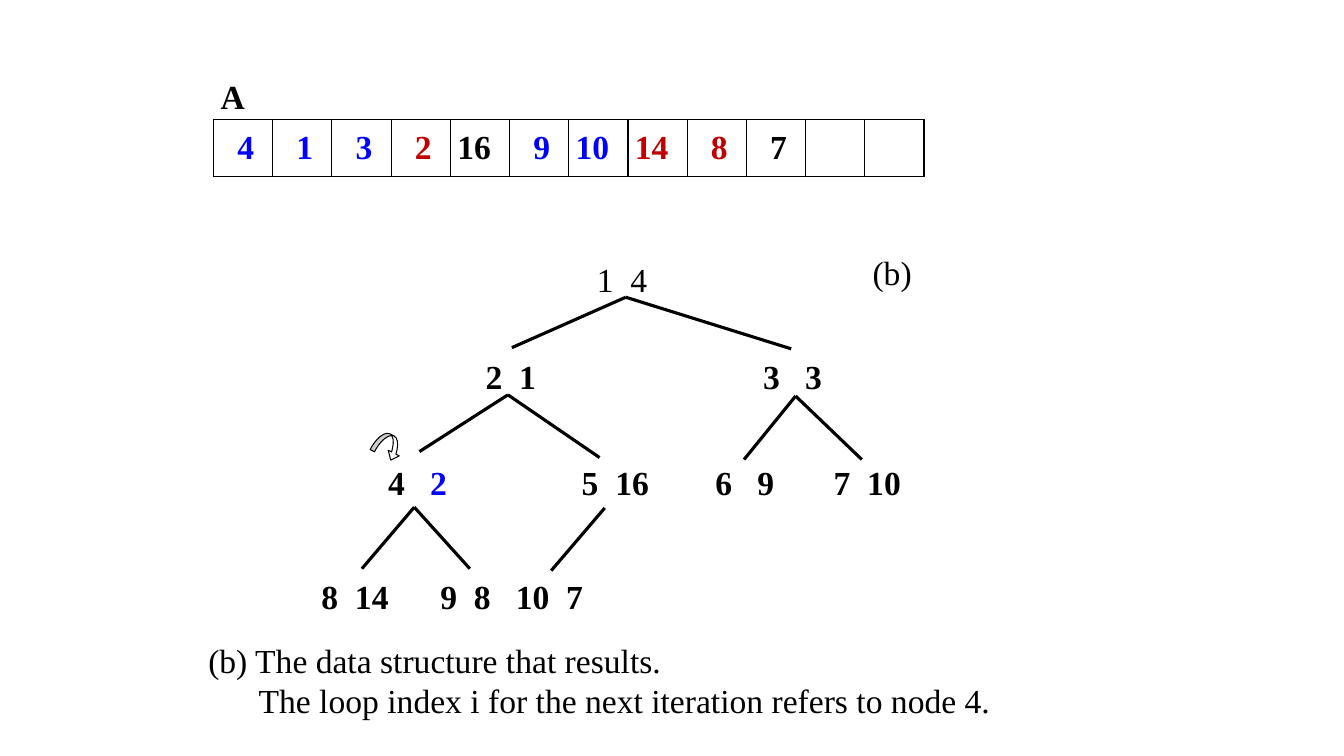
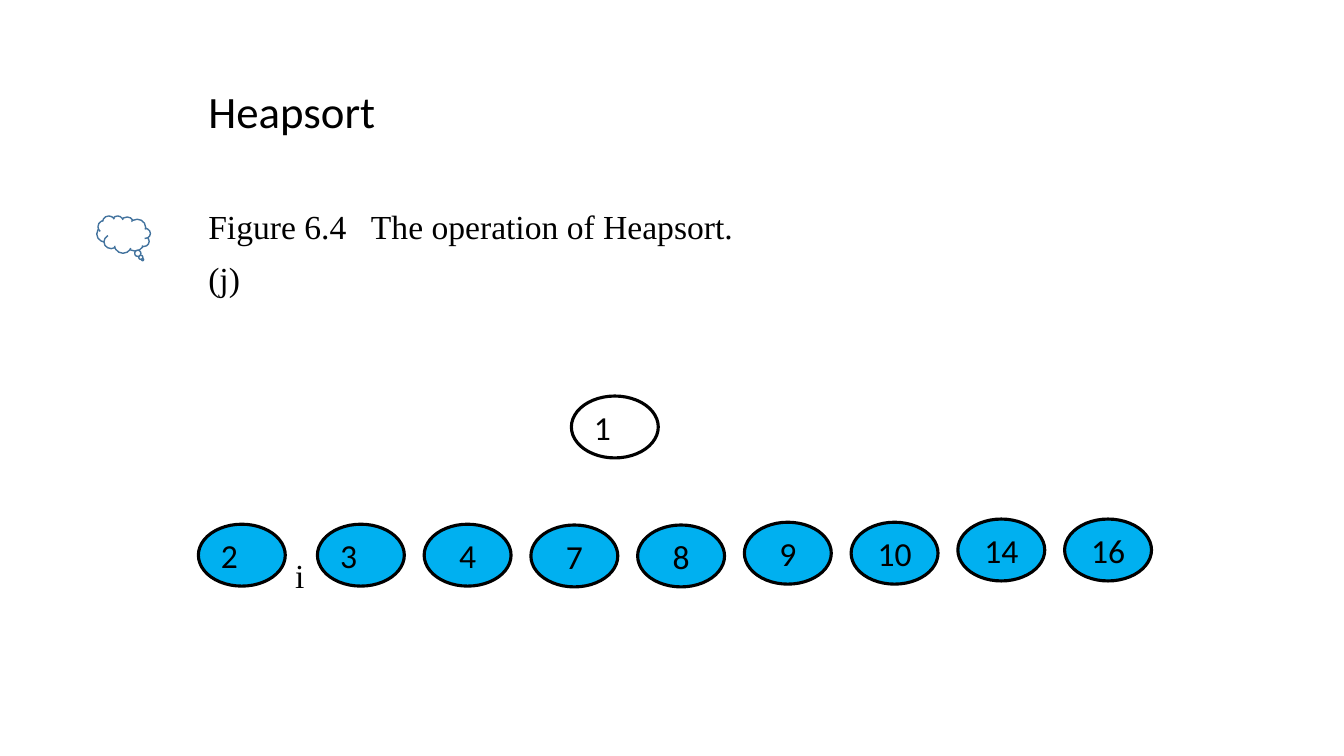
from dataclasses import dataclass

from lxml.etree import SubElement
from pptx import Presentation
from pptx.dml.color import RGBColor
from pptx.enum.shapes import MSO_CONNECTOR as Connector, MSO_SHAPE as Preset
from pptx.enum.text import MSO_ANCHOR as Anchor, MSO_AUTO_SIZE as AutoSize, PP_ALIGN as Align
from pptx.oxml.ns import qn
from pptx.util import Cm, Pt


@dataclass(frozen=True)
class Theme:
    """Colours, fonts and sizes shared by the slides."""
    black: str = "000000"
    white: str = "FFFFFF"
    blue: str = "0000FF"
    red: str = "C00000"
    sorted_fill: str = "00B0F0"
    cloud_line: str = "43739E"
    serif: str = "Times New Roman"
    sans: str = "Calibri"
    title_size: float = 32
    body_size: float = 24
    stroke: float = 2.25


@dataclass(frozen=True)
class Box:
    """A region in centimetres."""
    left: float
    top: float
    width: float
    height: float

    def inner(self, left, top, width, height):
        """Return a box placed relative to this one."""
        return Box(self.left + left, self.top + top, width, height)

    def lengths(self):
        """Return left, top, width and height as lengths."""
        return Cm(self.left), Cm(self.top), Cm(self.width), Cm(self.height)


@dataclass(frozen=True)
class Node:
    """A heap node: its label, and where edges arrive (head) and leave (foot)."""
    label: str
    value: str
    left: float
    head: tuple = ()
    foot: tuple = ()
    bold: bool = True
    color: str = "000000"


THEME = Theme()
LEVEL_TOPS = (0, 2.44, 5.11, 8)
HEAP = (
    Node("1  ", "4", 7.04, foot=(7.77, 1.09), bold=False),
    Node("2  ", "1", 4.24, (4.9, 2.36), (4.8, 3.55)),
    Node("3   ", "3", 11.23, (11.94, 2.39), (12.05, 3.58)),
    Node("4   ", "2", 1.78, (2.57, 4.98), (2.44, 6.38), color=THEME.blue),
    Node("5  ", "16", 6.66, (7.11, 5.13), (7.24, 6.4)),
    Node("6   ", "9", 10.03, (10.75, 5.18)),
    Node("7  ", "10", 13.01, (13.72, 5.18)),
    Node("8  ", "14", 0.1, (1.12, 7.93)),
    Node("9  ", "8", 3.1, (3.84, 7.93)),
    Node("10  ", "7", 5, (5.89, 7.98)),
)
ARRAY = (
    ("4", THEME.blue), ("1", THEME.blue), ("3", THEME.blue), ("2", THEME.red),
    ("16", THEME.black), ("9", THEME.blue), ("10", THEME.blue), ("14", THEME.red),
    ("8", THEME.red), ("7", THEME.black), ("", THEME.black), ("", THEME.black),
)


def add_run(paragraph, text, color=THEME.black, font=THEME.serif, size=THEME.body_size, bold=False):
    """Add one formatted run."""
    run = paragraph.add_run()
    run.text = text
    run.font.name, run.font.size, run.font.bold = font, Pt(size), bold
    run.font.color.rgb = RGBColor.from_string(color)


def add_label(slide, box, runs, bold=False, inset=0.25):
    """Add a one-line text box made of (text, colour) runs."""
    frame = slide.shapes.add_textbox(*box.lengths()).text_frame
    frame.word_wrap = True
    frame.margin_left = Cm(inset)
    for text, color in runs:
        add_run(frame.paragraphs[0], text, color, bold=bold)


def add_caption(slide, box, lines, spacing=1.0, hanging=0):
    """Add a caption, with the lines after the first indented by hanging."""
    frame = slide.shapes.add_textbox(*box.lengths()).text_frame
    frame.word_wrap = True
    for number, line in enumerate(lines):
        paragraph = frame.add_paragraph() if number else frame.paragraphs[0]
        paragraph.line_spacing = spacing
        if number and hanging:
            paragraph._p.get_or_add_pPr().set("marL", str(Cm(hanging)))
        add_run(paragraph, line)


def add_preset(slide, preset, box, fill=THEME.white, line=THEME.black, width=THEME.stroke):
    """Add a filled and outlined preset shape."""
    shape = slide.shapes.add_shape(preset, *box.lengths())
    shape.shadow.inherit = False
    shape.fill.solid()
    shape.fill.fore_color.rgb = RGBColor.from_string(fill)
    shape.line.color.rgb = RGBColor.from_string(line)
    shape.line.width = Pt(width)
    return shape


def add_edge(slide, box, start, end):
    """Draw a tree edge between two points of the box."""
    points = [Cm(value) for x, y in (start, end) for value in (box.left + x, box.top + y)]
    edge = slide.shapes.add_connector(Connector.STRAIGHT, *points)
    edge.line.color.rgb = RGBColor.from_string(THEME.black)
    edge.line.width = Pt(THEME.stroke)
    SubElement(edge._element.spPr, qn("a:effectLst"))


def border_cell(cell):
    """Give a cell thin black borders."""
    properties = cell._tc.get_or_add_tcPr()
    for position, side in enumerate(("a:lnL", "a:lnR", "a:lnT", "a:lnB")):
        line = properties.makeelement(qn(side), {"w": str(Pt(1))})
        fill = SubElement(line, qn("a:solidFill"))
        SubElement(fill, qn("a:srgbClr"), val=THEME.black)
        properties.insert(position, line)


def add_array(slide, box):
    """Draw array A as a one-row table below its name."""
    add_label(slide, box.inner(-0.07, -1.24, 1.14, 1.27), [("A", THEME.black)], bold=True)
    table = slide.shapes.add_table(1, len(ARRAY), *box.lengths()).table
    table.first_row = table.horz_banding = False
    for column, (value, color) in enumerate(ARRAY):
        table.columns[column].width = Cm(box.width / len(ARRAY))
        cell = table.cell(0, column)
        cell.fill.solid()
        cell.fill.fore_color.rgb = RGBColor.from_string(THEME.white)
        cell.vertical_anchor = Anchor.MIDDLE
        cell.margin_left, cell.margin_right = Cm(0.1), Cm(0.47)
        cell.margin_top = cell.margin_bottom = 0
        border_cell(cell)
        if value:
            paragraph = cell.text_frame.paragraphs[0]
            paragraph.alignment = Align.RIGHT
            add_run(paragraph, value, color, bold=True)


def add_heap(slide, box):
    """Draw the heap, where node i hangs from node i // 2."""
    for index, node in enumerate(HEAP, start=1):
        if index > 1:
            add_edge(slide, box, HEAP[index // 2 - 1].foot, node.head)
        place = box.inner(node.left, LEVEL_TOPS[index.bit_length() - 1], 2.2, 1.27)
        add_label(slide, place, [(node.label, THEME.black), (node.value, node.color)], node.bold, inset=0)
    pointer = add_preset(slide, Preset.CURVED_LEFT_ARROW, box.inner(1.5, 4.47, 0.58, 0.74), width=0.75)
    pointer.rotation = 297
    for number, value in enumerate((0.212, 0.538, 0.333)):
        pointer.adjustments[number] = value


def add_circle(slide, box, value, fill, alignment):
    """Draw one numbered oval."""
    circle = add_preset(slide, Preset.OVAL, box, fill)
    frame = circle.text_frame
    frame.vertical_anchor = Anchor.MIDDLE
    frame.paragraphs[0].alignment = alignment
    add_run(frame.paragraphs[0], value, font=THEME.sans)


def add_sorted_nodes(slide, box):
    """Draw the last heap node above the row of sorted nodes."""
    width, height, pitch = 2.19, 1.56, 2.69
    add_circle(slide, box.inner(9.4, 0, width, height), "1", THEME.white, Align.LEFT)
    add_circle(slide, box.inner(0, 3.23, width, height), "2", THEME.sorted_fill, Align.LEFT)
    add_label(slide, box.inner(2.19, 3.89, 1.35, 1.27), [("i", THEME.black)])
    rows = (("3", 3.23), ("4", 3.23), ("7", 3.25), ("8", 3.25),
            ("9", 3.18), ("10", 3.18), ("14", 3.1), ("16", 3.1))
    for number, (value, top) in enumerate(rows):
        place = box.inner(3 + pitch * number, top, width, height)
        add_circle(slide, place, value, THEME.sorted_fill, Align.CENTER if number else Align.LEFT)


def add_title(slide, box, text):
    """Place and fill the title placeholder."""
    title = slide.shapes.title
    title.left, title.top, title.width, title.height = box.lengths()
    frame = title.text_frame
    frame.auto_size, frame.word_wrap = AutoSize.NONE, False
    frame.vertical_anchor = Anchor.TOP
    frame.paragraphs[0].alignment = Align.LEFT
    add_run(frame.paragraphs[0], text, font=THEME.sans, size=THEME.title_size)


def add_cloud(slide, box):
    """Draw the thought cloud, mirrored."""
    cloud = add_preset(slide, Preset.CLOUD_CALLOUT, box, line=THEME.cloud_line, width=1)
    cloud.adjustments[0], cloud.adjustments[1] = -0.355, 0.674
    cloud._element.spPr.xfrm.set("flipH", "1")


def build_heap_slide(presentation):
    """Build the slide with the array and its heap."""
    slide = presentation.slides.add_slide(presentation.slide_layouts[6])
    add_array(slide, Box(5.38, 3.02, 17.91, 1.42))
    add_heap(slide, Box(8, 6.4, 16, 9.3))
    add_label(slide, Box(21.74, 6.22, 1.55, 1.27), [("(b)", THEME.black)])
    add_caption(slide, Box(5, 16, 21.13, 2.31), (
        "(b) The data structure that results.",
        "The loop index i for the next iteration refers to node 4.",
    ), hanging=1.27)


def build_sorted_slide(presentation):
    """Build the slide with the sorted result."""
    slide = presentation.slides.add_slide(presentation.slide_layouts[5])
    add_title(slide, Box(5, 1.98, 4.75, 1.63), "Heapsort")
    add_caption(slide, Box(5, 4.75, 18.39, 2.79),
                ("Figure 6.4   The operation of Heapsort.", "(j)"), spacing=1.3)
    add_cloud(slide, Box(2.44, 5.44, 1.35, 0.94))
    add_sorted_nodes(slide, Box(5, 9.98, 24, 4.8))


def main():
    """Build and save the presentation."""
    presentation = Presentation()
    presentation.slide_width, presentation.slide_height = Cm(33.87), Cm(19.05)
    build_heap_slide(presentation)
    build_sorted_slide(presentation)
    presentation.save("out.pptx")


main()
